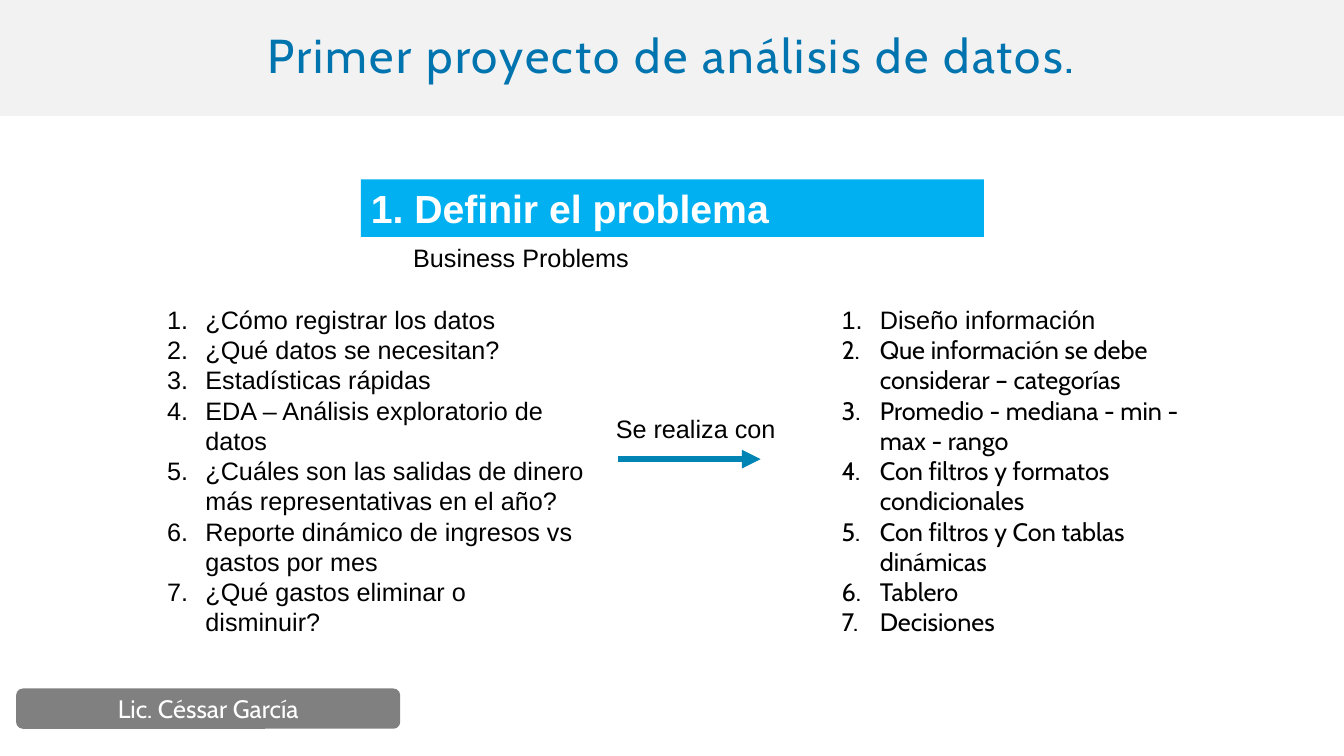
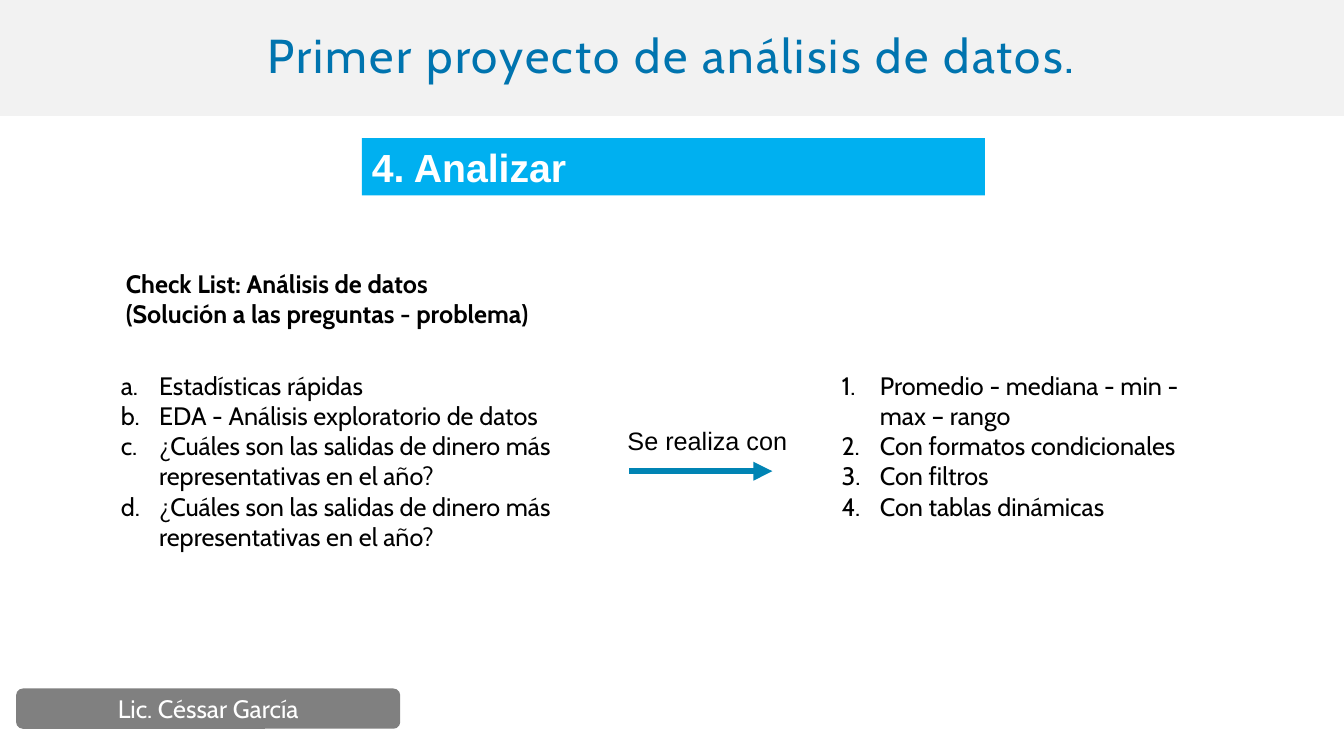
"""Builds two slides on the first data analysis project."""
from dataclasses import dataclass

from lxml import etree
from pptx import Presentation, util as u
from pptx.dml.color import RGBColor
from pptx.enum import shapes, text
from pptx.oxml import ns

WIDTH, HEIGHT = u.Inches(13.333), u.Inches(7.5)
ARIAL, CABIN = "Arial", "Cabin"
BLACK, WHITE, BAND, GREY = "000000", "FFFFFF", "F2F2F2", "808080"
TITLE_BLUE, SKY, ARROW_BLUE = "0074AF", "00B0F0", "0084B4"
INDENT = u.Inches(0.38)
TITLE = "Primer proyecto de análisis de datos."
AUTHOR = "Lic. Céssar García"


@dataclass(frozen=True)
class Area:
    """A rectangle in percent of the slide's width and height."""
    left: float
    top: float
    width: float
    height: float

    def emu(self) -> tuple[int, int, int, int]:
        """Returns left, top, width and height in EMU."""
        return (across(self.left), down(self.top),
                across(self.width), down(self.height))


@dataclass(frozen=True)
class Style:
    """The look of a block of text."""
    font: str = ARIAL
    size: int = 18
    color: str = BLACK
    bold: bool = False
    centred: bool = False


@dataclass(frozen=True)
class Block:
    """Lines of text, numbered when a numbering scheme is given."""
    area: Area
    lines: tuple[str, ...]
    style: Style = Style()
    numbering: str = ""
    first_font: str = ""


@dataclass(frozen=True)
class Step:
    """One project step: a banner, text blocks and the arrow's label."""
    heading: str
    banner: Area
    arrow_label: Area
    blocks: tuple[Block, ...]


TITLE_STYLE = Style(CABIN, 34, TITLE_BLUE, centred=True)
BANNER_STYLE = Style(ARIAL, 28, WHITE, bold=True)
AUTHOR_STYLE = Style(CABIN, 18, WHITE, centred=True)
CABIN_BODY = Style(CABIN)
TITLE_AREA = Area(0, 0, 100, 15.33)
AUTHOR_AREA = Area(1.2, 91.07, 28.58, 5.33)

STEPS = (
    Step(
        "1. Definir el problema",
        Area(26.85, 23.73, 46.35, 7.6),
        Area(45.08, 54, 15.9, 5.33),
        (
            Block(Area(30, 31.33, 17.55, 5.33), ("Business Problems",)),
            Block(Area(11.7, 39.6, 32.55, 45.73), (
                "¿Cómo registrar los datos",
                "¿Qué datos se necesitan?",
                "Estadísticas rápidas",
                "EDA – Análisis exploratorio de datos",
                "¿Cuáles son las salidas de dinero más representativas en el año?",
                "Reporte dinámico de ingresos vs gastos por mes",
                "¿Qué gastos eliminar o disminuir?",
            ), numbering="arabicPeriod"),
            Block(Area(61.88, 39.6, 29.25, 45.73), (
                "Diseño información",
                "Que información se debe considerar – categorías",
                "Promedio - mediana - min - max - rango",
                "Con filtros y formatos condicionales",
                "Con filtros y Con tablas dinámicas",
                "Tablero",
                "Decisiones",
            ), CABIN_BODY, "arabicPeriod", first_font=ARIAL),
        ),
    ),
    Step(
        "4. Analizar",
        Area(26.93, 18.27, 46.35, 7.6),
        Area(45.95, 55.6, 15.9, 5.33),
        (
            Block(Area(8.63, 34.8, 43.35, 9.47), (
                "Check List: Análisis de datos",
                "(Solución a las preguntas - problema)",
            ), Style(CABIN, bold=True)),
            Block(Area(8.25, 48.27, 35.33, 29.6), (
                "Estadísticas rápidas",
                "EDA - Análisis exploratorio de datos",
                "¿Cuáles son las salidas de dinero más representativas en el año?",
                "¿Cuáles son las salidas de dinero más representativas en el año?",
            ), CABIN_BODY, "alphaLcPeriod"),
            Block(Area(61.88, 48.27, 29.25, 21.6), (
                "Promedio - mediana - min - max – rango",
                "Con formatos condicionales",
                "Con filtros",
                "Con tablas dinámicas",
            ), CABIN_BODY, "arabicPeriod"),
        ),
    ),
)


def across(percent: float) -> int:
    """Converts a share of the slide's width to EMU."""
    return round(WIDTH * percent / 100)


def down(percent: float) -> int:
    """Converts a share of the slide's height to EMU."""
    return round(HEIGHT * percent / 100)


def rgb(hex_color: str) -> RGBColor:
    """Turns a hex string into a colour."""
    return RGBColor.from_string(hex_color)


def write(frame, lines: tuple[str, ...], style: Style) -> None:
    """Sets the lines of a text frame and formats them."""
    frame.word_wrap = True
    frame.text = "\n".join(lines)
    for paragraph in frame.paragraphs:
        paragraph.alignment = (text.PP_ALIGN.CENTER if style.centred
                               else text.PP_ALIGN.LEFT)
        for run in paragraph.runs:
            run.font.name = style.font
            run.font.size = u.Pt(style.size)
            run.font.bold = style.bold
            run.font.color.rgb = rgb(style.color)


def number(frame, scheme: str) -> None:
    """Numbers the paragraphs with a hanging indent."""
    for paragraph in frame.paragraphs:
        properties = paragraph._p.get_or_add_pPr()
        properties.set("marL", str(INDENT))
        properties.set("indent", str(-INDENT))
        etree.SubElement(properties, ns.qn("a:buAutoNum"), type=scheme)


def add_block(slide, block: Block) -> None:
    """Adds a text box holding a block."""
    frame = slide.shapes.add_textbox(*block.area.emu()).text_frame
    write(frame, block.lines, block.style)
    if block.numbering:
        number(frame, block.numbering)
    if block.first_font:
        frame.paragraphs[0].runs[0].font.name = block.first_font


def add_panel(slide, area: Area, fill: str, label: str, style: Style,
              outline=shapes.MSO_SHAPE.RECTANGLE):
    """Adds a filled shape with a label and returns its text frame."""
    panel = slide.shapes.add_shape(outline, *area.emu())
    panel.shadow.inherit = False
    panel.fill.solid()
    panel.fill.fore_color.rgb = rgb(fill)
    panel.line.fill.background()
    frame = panel.text_frame
    frame.vertical_anchor = text.MSO_ANCHOR.MIDDLE
    write(frame, (label,), style)
    return frame


def add_title(slide) -> None:
    """Adds the title band with widely spaced letters."""
    frame = add_panel(slide, TITLE_AREA, BAND, TITLE, TITLE_STYLE)
    frame.margin_left = frame.margin_right = u.Inches(0.5)
    heading = frame.paragraphs[0]
    heading.line_spacing = 0.9
    heading.runs[0].font._element.set("spc", "160")


def add_arrow(slide, label_area: Area) -> None:
    """Adds the label and the arrow below it."""
    add_block(slide, Block(label_area, ("Se realiza con",)))
    start = across(label_area.left + 0.87)
    level = down(label_area.top + 6.73)
    arrow = slide.shapes.add_connector(
        shapes.MSO_CONNECTOR.STRAIGHT, start, level, start + across(10.65), level)
    arrow.line.color.rgb = rgb(ARROW_BLUE)
    arrow.line.width = u.Pt(4.5)
    etree.SubElement(arrow.line._get_or_add_ln(), ns.qn("a:tailEnd"), type="triangle")
    etree.SubElement(arrow._element.spPr, ns.qn("a:effectLst"))


def add_step(deck, step: Step) -> None:
    """Adds the slide of one step."""
    slide = deck.slides.add_slide(deck.slide_layouts[6])
    add_title(slide)
    add_panel(slide, step.banner, SKY, step.heading, BANNER_STYLE)
    for block in step.blocks:
        add_block(slide, block)
    add_arrow(slide, step.arrow_label)
    add_panel(slide, AUTHOR_AREA, GREY, AUTHOR, AUTHOR_STYLE,
              shapes.MSO_SHAPE.ROUNDED_RECTANGLE)


def main() -> None:
    """Builds and saves the deck."""
    deck = Presentation()
    deck.slide_width, deck.slide_height = WIDTH, HEIGHT
    for step in STEPS:
        add_step(deck, step)
    deck.save("out.pptx")


if __name__ == "__main__":
    main()
